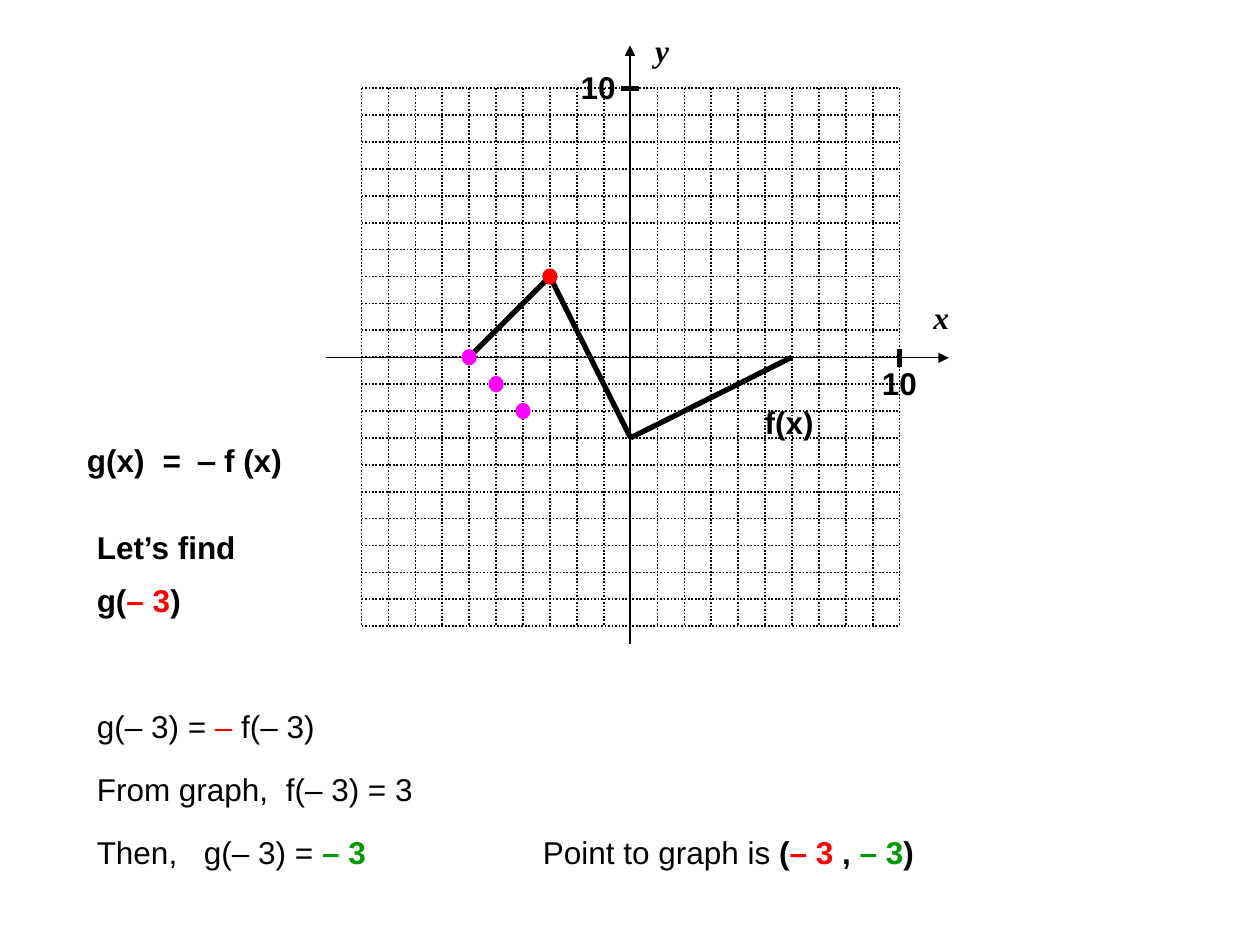
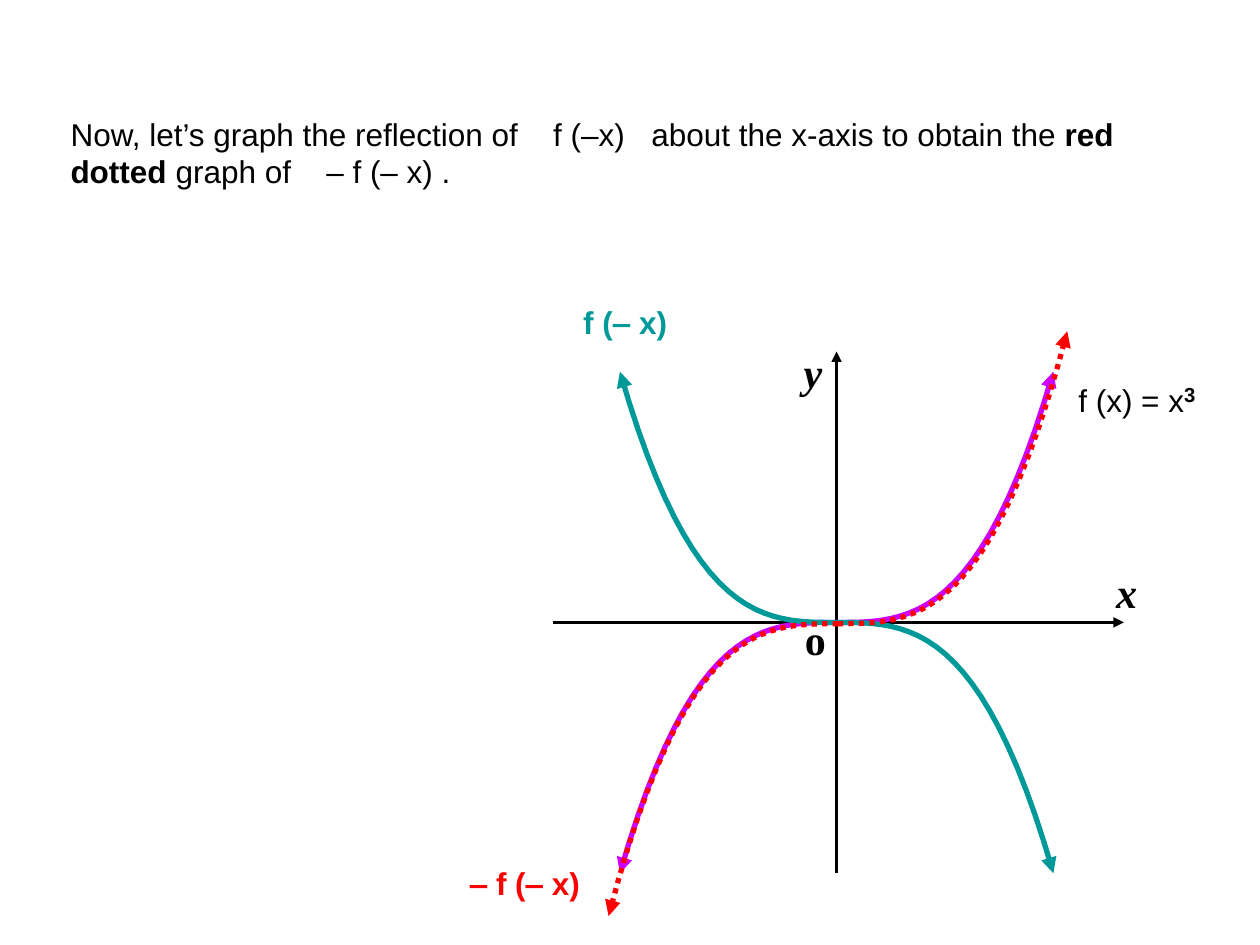
"""Build two slides on reflecting function graphs about the axes."""
from dataclasses import dataclass
from typing import NamedTuple

from lxml.etree import SubElement
from pptx import Presentation
from pptx.dml.color import RGBColor
from pptx.enum.dml import MSO_LINE
from pptx.enum.shapes import MSO_CONNECTOR, MSO_SHAPE
from pptx.enum.text import MSO_ANCHOR, MSO_AUTO_SIZE, PP_ALIGN
from pptx.oxml.ns import qn
from pptx.util import Pt

EMU_PER_PX = 9144
BLACK, RED, GREEN = "000000", "FF0000", "009900"
MAGENTA, PURPLE, TEAL = "FF00FF", "CC00FF", "009999"
SANS, SERIF = "Arial", "Times New Roman"
TITLE_ONLY = 5
STEPS = 24


class Point(NamedTuple):
    x: float
    y: float


class Run(NamedTuple):
    text: str
    color: str = BLACK
    bold: bool = False
    italic: bool = False
    size: int = 18
    font: str = SANS
    baseline: int = 0


@dataclass
class Label:
    x: int
    y: int
    w: int
    h: int
    paragraphs: list[list[Run]]
    tabs: tuple[int, ...] = ()


@dataclass
class Stroke:
    width: float
    color: str = BLACK
    dotted: bool = False
    arrow: bool = False


@dataclass
class Cubic:
    origin: Point
    reach: Point
    stroke: Stroke
    flip: int = 1


def px(value: float) -> int:
    return round(value * EMU_PER_PX)


def rgb(value: str) -> RGBColor:
    return RGBColor.from_string(value)


def bold(text: str, color: str = BLACK) -> Run:
    return Run(text, color, True)


def axis_name(text: str, size: int, italic: bool = True) -> list[list[Run]]:
    return [[Run(text, bold=True, italic=italic, size=size, font=SERIF)]]


def write_label(sp, label: Label) -> None:
    sp.left, sp.top = px(label.x), px(label.y)
    sp.width, sp.height = px(label.w), px(label.h)
    tf = sp.text_frame
    tf.word_wrap = False
    tf.auto_size = MSO_AUTO_SIZE.SHAPE_TO_FIT_TEXT
    tf.vertical_anchor = MSO_ANCHOR.TOP
    for i, runs in enumerate(label.paragraphs):
        p = tf.add_paragraph() if i else tf.paragraphs[0]
        p.alignment = PP_ALIGN.LEFT
        if label.tabs:
            tab_list = SubElement(p._p.get_or_add_pPr(), qn("a:tabLst"))
            for stop in label.tabs:
                SubElement(tab_list, qn("a:tab"), pos=str(px(stop)), algn="l")
        for run in runs:
            r = p.add_run()
            r.text = run.text
            r.font.name, r.font.size = run.font, Pt(run.size)
            r.font.bold, r.font.italic = run.bold, run.italic
            r.font.color.rgb = rgb(run.color)
            if run.baseline:
                r._r.get_or_add_rPr().set("baseline", str(run.baseline * 1000))


def add_labels(s, labels: list[Label]) -> None:
    for label in labels:
        write_label(s.shapes.add_textbox(0, 0, 0, 0), label)


def apply_stroke(sp, stroke: Stroke) -> None:
    sp.line.color.rgb = rgb(stroke.color)
    sp.line.width = Pt(stroke.width)
    if stroke.dotted:
        sp.line.dash_style = MSO_LINE.ROUND_DOT
    if stroke.arrow:
        SubElement(sp.line._get_or_add_ln(), qn("a:tailEnd"), type="triangle")


def add_line(s, start: Point, end: Point, stroke: Stroke) -> None:
    sp = s.shapes.add_connector(
        MSO_CONNECTOR.STRAIGHT, px(start.x), px(start.y), px(end.x), px(end.y))
    apply_stroke(sp, stroke)
    SubElement(sp._element.spPr, qn("a:effectLst"))


def add_dot(s, center: Point, color: str) -> None:
    w, h = 11, 12
    sp = s.shapes.add_shape(MSO_SHAPE.OVAL, px(center.x - w / 2),
                            px(center.y - h / 2), px(w), px(h))
    sp.shadow.inherit = False
    sp.fill.solid()
    sp.fill.fore_color.rgb = rgb(color)
    apply_stroke(sp, Stroke(0.75, color))


def add_cubic(s, cubic: Cubic) -> None:
    ox, oy = cubic.origin
    for side in (1, -1):
        points = [(px(ox + side * cubic.reach.x * t),
                   px(oy - side * cubic.flip * cubic.reach.y * t ** 3))
                  for t in (i / STEPS for i in range(STEPS + 1))]
        builder = s.shapes.build_freeform(*points[0])
        builder.add_line_segments(points[1:], close=False)
        sp = builder.convert_to_shape()
        sp.shadow.inherit = False
        sp.fill.background()
        apply_stroke(sp, cubic.stroke)


def build_point_slide(prs) -> None:
    s = prs.slides.add_slide(prs.slide_layouts[TITLE_ONLY])
    left, top, side, cells = 287, 70, 427, 20

    def at(x: float, y: float) -> Point:
        return Point(left + (x + 10) * side / cells, top + (10 - y) * side / cells)

    write_label(s.shapes.title, Label(
        59, 345, 180, 40, [[bold("g(x)\t=\t‒ f (x)")]], (60, 88)))

    function = [at(-6, 0), at(-3, 3), at(0, -3), at(6, 0)]
    for start, end in zip(function, function[1:]):
        add_line(s, start, end, Stroke(3))
    grid = Stroke(1, dotted=True)
    for i in range(-10, 11):
        add_line(s, at(i, 10), at(i, -10), grid)
        add_line(s, at(-10, i), at(10, i), grid)
    axis = Stroke(0.75, arrow=True)
    add_line(s, Point(500, 511), Point(500, 36), axis)
    add_line(s, Point(259, 284), Point(753, 284), axis)
    add_line(s, Point(714, 277), Point(714, 291), Stroke(3))
    add_line(s, Point(493, 70), Point(507, 70), Stroke(3))

    add_labels(s, [
        Label(510, 20, 31, 40, axis_name("y", 18)),
        Label(731, 232, 32, 40, axis_name("x", 18)),
        Label(690, 284, 48, 40, [[bold("10")]]),
        Label(451, 49, 48, 40, [[bold("10")]]),
        Label(597, 315, 62, 40, [[bold("f(x)")]]),
        Label(67, 414, 135, 40, [[bold("Let’s find")]]),
        Label(67, 456, 90, 40, [[bold("g("), bold("– 3", RED), bold(")")]]),
        Label(67, 556, 204, 40,
              [[Run("g(– 3) = "), Run("‒", RED), Run(" f(– 3)")]]),
        Label(67, 606, 275, 40, [[Run("From graph,\tf(– 3) = 3")]], (150,)),
        Label(67, 656, 244, 40,
              [[Run("Then,\tg(– 3) = "), bold("– 3", GREEN)]], (85,)),
        Label(421, 656, 320, 40,
              [[Run("Point to graph is "), bold("("), bold("– 3", RED),
                bold(" , "), bold("– 3", GREEN), bold(")")]]),
    ])
    for point in (at(-6, 0), at(-5, -1), at(-4, -2)):
        add_dot(s, point, MAGENTA)
    add_dot(s, at(-3, 3), RED)


def build_reflection_slide(prs) -> None:
    s = prs.slides.add_slide(prs.slide_layouts[TITLE_ONLY])
    write_label(s.shapes.title, Label(46, 86, 854, 70, [
        [Run("Now, let’s graph the reflection of\tf (‒x)\t"
             "about the x-axis to obtain the "), bold("red")],
        [bold("dotted"), Run(" graph of\t‒ f (‒ x) .")],
    ], (203, 383, 461)))

    axis = Stroke(1.5, arrow=True)
    add_line(s, Point(439, 494), Point(892, 494), axis)
    add_line(s, Point(664, 693), Point(664, 279), axis)

    origin, reach = Point(664, 494), Point(172, 199)
    for cubic in (
        Cubic(origin, reach, Stroke(3, PURPLE, arrow=True)),
        Cubic(origin, reach, Stroke(3, TEAL, arrow=True), flip=-1),
        Cubic(Point(665, 495), Point(182, 232),
              Stroke(3, RED, dotted=True, arrow=True)),
    ):
        add_cubic(s, cubic)

    add_labels(s, [
        Label(628, 270, 35, 50, axis_name("y", 24)),
        Label(876, 445, 36, 50, axis_name("x", 24)),
        Label(629, 482, 36, 50, axis_name("o", 24, italic=False)),
        Label(846, 295, 118, 44,
              [[Run("f (x) = x"), Run("3", bold=True, size=20, baseline=30)]]),
        Label(453, 236, 90, 40, [[bold("f (‒ x)", TEAL)]]),
        Label(363, 681, 112, 40, [[bold("‒ f (‒ x)", RED)]]),
    ])


def main() -> None:
    prs = Presentation()
    prs.slide_width, prs.slide_height = px(1000), px(750)
    build_point_slide(prs)
    build_reflection_slide(prs)
    prs.save("out.pptx")


if __name__ == "__main__":
    main()
